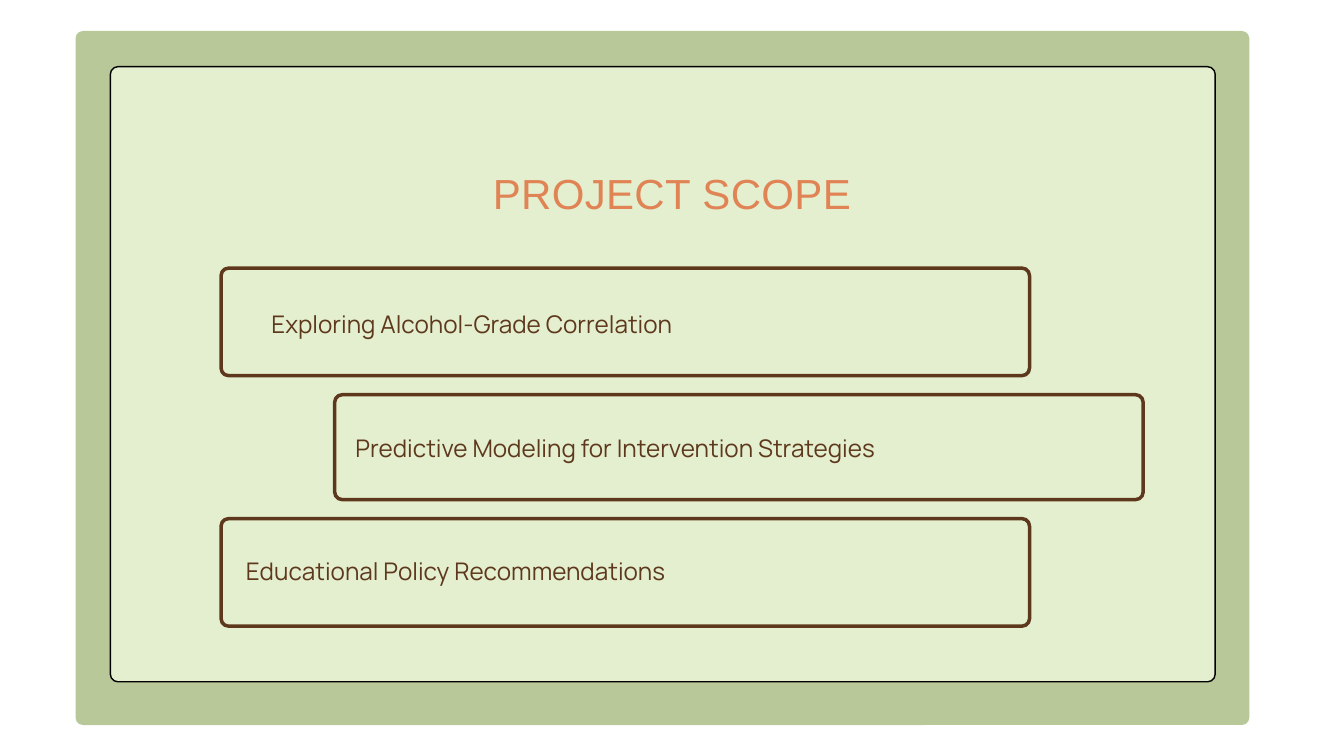
from pptx import Presentation
from pptx.dml.color import RGBColor
from pptx.enum.shapes import MSO_SHAPE as Shape
from pptx.enum.text import MSO_ANCHOR as Anchor, MSO_AUTO_SIZE as AutoSize, PP_ALIGN as Align
from pptx.util import Pt

SAGE = RGBColor(0xB8, 0xC8, 0x98)
PALE_GREEN = RGBColor(0xE4, 0xEF, 0xCF)
BROWN = RGBColor(0x5D, 0x38, 0x1C)
ORANGE = RGBColor(0xE1, 0x84, 0x55)
BLACK = RGBColor(0, 0, 0)

TITLE_ONLY = 5
CORNER = 8


class ScopeSlide:
    """Holds the slide and the text styles, and draws each kind of element."""

    title_style = {"size": Pt(45), "name": "Arial", "bold": False}
    body_style = {"size": Pt(26), "name": "Manrope", "bold": False}
    frame_style = {
        "margin_left": 0, "margin_top": 0, "margin_right": 0, "margin_bottom": 0,
        "word_wrap": True, "auto_size": AutoSize.NONE, "vertical_anchor": Anchor.TOP,
    }

    def __init__(self, presentation):
        self.slide = presentation.slides.add_slide(presentation.slide_layouts[TITLE_ONLY])

    def panel(self, left, top, width, height, fill=None, line=None, weight=0):
        shape = self.slide.shapes.add_shape(
            Shape.ROUNDED_RECTANGLE, Pt(left), Pt(top), Pt(width), Pt(height))
        shape.shadow.inherit = False
        shape.adjustments[0] = CORNER / min(width, height)
        if fill is None:
            shape.fill.background()
        else:
            shape.fill.solid()
            shape.fill.fore_color.rgb = fill
        if line is None:
            shape.line.fill.background()
        else:
            shape.line.color.rgb = line
            shape.line.width = Pt(weight)

    def fill_text(self, shape, text, style, color, spacing, align=Align.LEFT):
        frame = shape.text_frame
        for name, value in self.frame_style.items():
            setattr(frame, name, value)
        paragraph = frame.paragraphs[0]
        paragraph.alignment = align
        paragraph.line_spacing = Pt(spacing)
        paragraph.space_before = Pt(0)
        run = paragraph.add_run()
        run.text = text
        for name, value in style.items():
            setattr(run.font, name, value)
        run.font.color.rgb = color
        return run

    def title(self, text, left, top, width, height):
        shape = self.slide.shapes.title
        shape.left, shape.top, shape.width, shape.height = map(Pt, (left, top, width, height))
        run = self.fill_text(shape, text, self.title_style, ORANGE, 58, Align.CENTER)
        run._r.get_or_add_rPr().set("spc", "40")
        # Bring the title in front of the panels
        self.slide.shapes._spTree.append(shape._element)

    def label(self, text, left, top, width, height):
        shape = self.slide.shapes.add_textbox(Pt(left), Pt(top), Pt(width), Pt(height))
        self.fill_text(shape, text, self.body_style, BROWN, 36.4)


def main():
    presentation = Presentation()
    presentation.slide_width, presentation.slide_height = Pt(1440), Pt(810)
    scope = ScopeSlide(presentation)

    # Background panels
    scope.panel(80.9, 33.2, 1257.7, 743.6, fill=SAGE)
    scope.panel(118.3, 71.5, 1183.7, 659, fill=PALE_GREEN, line=BLACK, weight=1.5)

    # Title
    scope.title("PROJECT SCOPE", 381, 175.7, 678, 57.6)

    # Scope items: text, box left, box height, text indent and drop in the box
    items = [
        ("Exploring Alcohol-Grade Correlation", 236.9, 115.2, 54, 38.9),
        ("Predictive Modeling for Intervention Strategies", 358.6, 112.4, 22.3, 36),
        ("Educational Policy Recommendations", 236.9, 115.2, 26.6, 35.4),
    ]
    top, gap = 287.3, 20.4
    for text, left, height, indent, drop in items:
        scope.panel(left, top, 866.2, height, line=BROWN, weight=3.75)
        scope.label(text, left + indent, top + drop, 812, 36)
        top += height + gap

    presentation.save("out.pptx")


if __name__ == "__main__":
    main()
